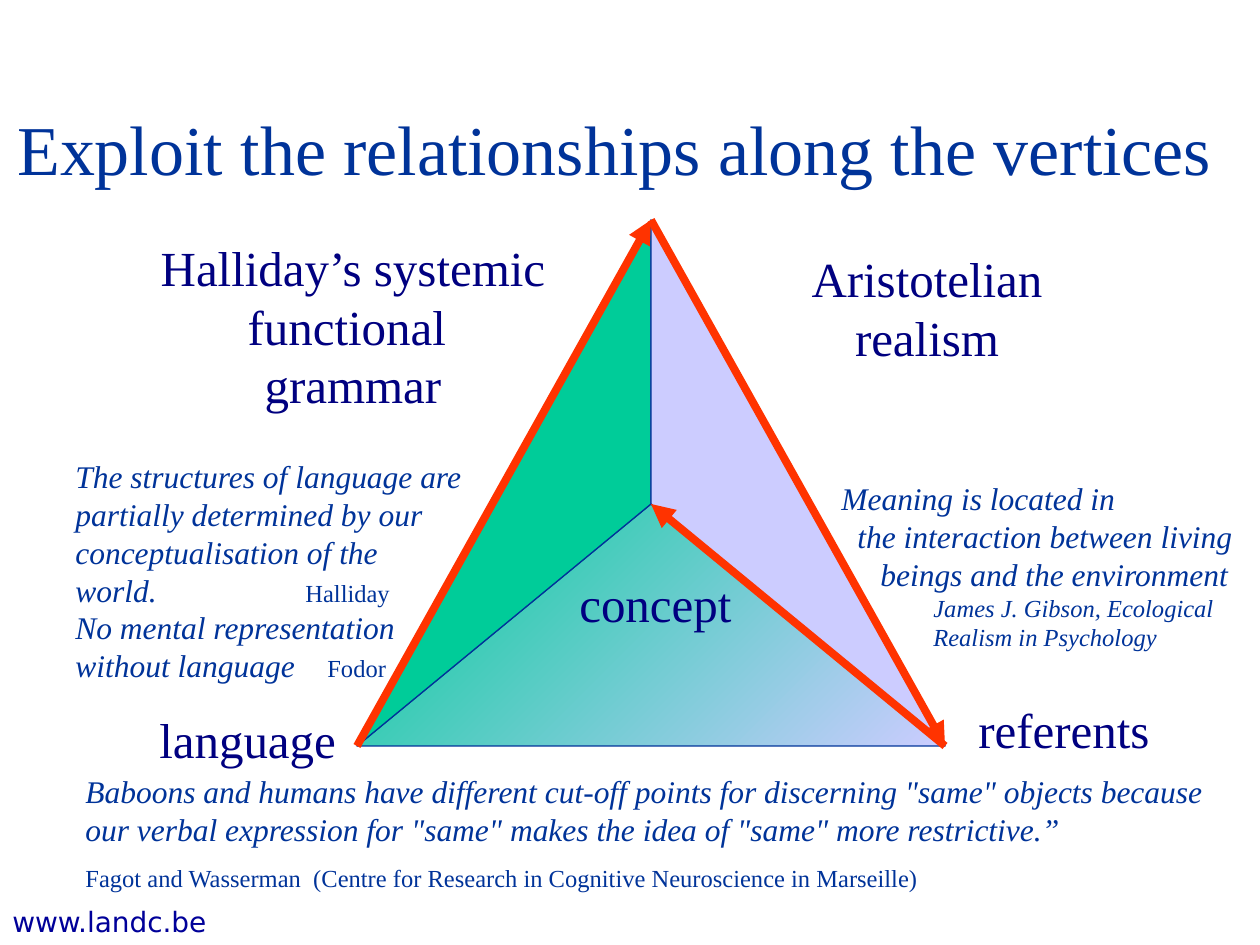
from lxml.etree import SubElement
from pptx import Presentation
from pptx.dml.color import RGBColor
from pptx.enum.shapes import MSO_CONNECTOR, MSO_SHAPE
from pptx.enum.text import MSO_ANCHOR, MSO_AUTO_SIZE, PP_ALIGN
from pptx.oxml.ns import qn
from pptx.util import Emu, Pt

PX = 914400 / 126
SERIF = "Times New Roman"
BLUE = RGBColor(0x00, 0x33, 0x99)
NAVY = RGBColor(0x00, 0x00, 0x80)
LINK_BLUE = RGBColor(0x00, 0x00, 0x99)
GREEN = RGBColor(0x00, 0xCC, 0x99)
LAVENDER = RGBColor(0xCC, 0xCC, 0xFF)
ORANGE = RGBColor(0xFF, 0x33, 0x00)

prs = Presentation()
prs.slide_width, prs.slide_height = Emu(round(1260 * PX)), Emu(round(945 * PX))
slide = prs.slides.add_slide(prs.slide_layouts[6])
shapes = slide.shapes


def px(*lengths):
    return [Emu(round(length * PX)) for length in lengths]


def write(place, text, size, color, font=SERIF, align=PP_ALIGN.LEFT, italic=False, wrap=True):
    frame = shapes.add_textbox(*px(*place)).text_frame
    frame.word_wrap = wrap
    frame.auto_size = MSO_AUTO_SIZE.SHAPE_TO_FIT_TEXT
    frame.text = text
    for paragraph in frame.paragraphs:
        paragraph.alignment = align
        for run in paragraph.runs:
            run.font.size = Pt(size)
            run.font.name = font
            run.font.italic = italic
            run.font.color.rgb = color
    return frame


write((0, 898, 252, 47), "www.landc.be", 16, LINK_BLUE, "DejaVu Sans")
title = write((0, 95, 1229, 105), "Exploit the relationships along the vertices", 40, BLUE,
              align=PP_ALIGN.CENTER)
title.auto_size = MSO_AUTO_SIZE.NONE
title.vertical_anchor = MSO_ANCHOR.MIDDLE

baboons = write((73, 766, 1155, 134),
                'Baboons and humans have different cut-off points for discerning "same" objects '
                'because our verbal expression for "same" makes the idea of "same" more '
                'restrictive.”\nFagot and Wasserman  (Centre for Research in Cognitive '
                'Neuroscience in Marseille)', 18, BLUE, italic=True)
baboons_source = baboons.paragraphs[1]
baboons_source.space_before = Pt(8.8)
baboons_source.runs[0].font.size = Pt(14)
baboons_source.runs[0].font.italic = False

gibson = write((829, 473, 430, 185),
               "Meaning is located in\nthe interaction between living\nbeings and the environment\n"
               "James J. Gibson, Ecological\nRealism in Psychology", 18, BLUE, italic=True)
for paragraph, indent in zip(gibson.paragraphs, (0, 16, 39, 92, 92)):
    paragraph._p.get_or_add_pPr().set("marL", str(px(indent)[0]))
for paragraph in gibson.paragraphs[3:]:
    paragraph.runs[0].font.size = Pt(14)

structures = write((63, 451, 441, 239),
                   "The structures of language are\npartially determined by our\n"
                   "conceptualisation of the\nworld.\t\nNo mental representation without language\t",
                   18, BLUE, italic=True)
for paragraph, author, stop in zip(structures.paragraphs[3:], ("Halliday", "Fodor"), (230, 252)):
    tabs = SubElement(paragraph._p.get_or_add_pPr(), qn("a:tabLst"))
    SubElement(tabs, qn("a:tab"), pos=str(px(stop)[0]), algn="l")
    credit = paragraph.add_run()
    credit.text = author
    credit.font.size = Pt(14)
    credit.font.name = SERIF
    credit.font.italic = False
    credit.font.color.rgb = BLUE

apex, centre, language, referents = (651, 220), (651, 504), (357, 746), (945, 746)

base = shapes.add_shape(MSO_SHAPE.ISOSCELES_TRIANGLE, *px(357, 504, 588, 242))
base.fill.gradient()
base.fill.gradient_angle = 135
for stop, color in zip(base.fill.gradient_stops, (LAVENDER, GREEN)):
    stop.color.rgb = color
faces = [base]
for corner, color in ((language, GREEN), (referents, LAVENDER)):
    outline = shapes.build_freeform(*corner, scale=PX)
    outline.add_line_segments([centre, apex], close=True)
    face = outline.convert_to_shape()
    face.fill.solid()
    face.fill.fore_color.rgb = color
    faces.append(face)
for face in faces:
    face.shadow.inherit = False
    face.line.color.rgb = BLUE
    face.line.width = Pt(0.75)

for place, label, align in (
    ((147, 703, 202, 72), "language", PP_ALIGN.LEFT),
    ((966, 693, 197, 72), "referents", PP_ALIGN.LEFT),
    ((567, 567, 178, 72), "concept", PP_ALIGN.LEFT),
    ((147, 231, 412, 189), "Halliday’s systemic\nfunctional \ngrammar", PP_ALIGN.CENTER),
    ((799, 242, 256, 131), "Aristotelian\nrealism", PP_ALIGN.CENTER),
):
    write(place, label, 28, NAVY, align=align, wrap=False)

for start, end in ((language, apex), (apex, referents), (referents, centre)):
    arrow = shapes.add_connector(MSO_CONNECTOR.STRAIGHT, *px(*start, *end))
    arrow.line.color.rgb = ORANGE
    arrow.line.width = Pt(4.5)
    SubElement(arrow.line._get_or_add_ln(), qn("a:tailEnd"), type="triangle")
    SubElement(arrow._element.spPr, qn("a:effectLst"))

prs.save("out.pptx")
